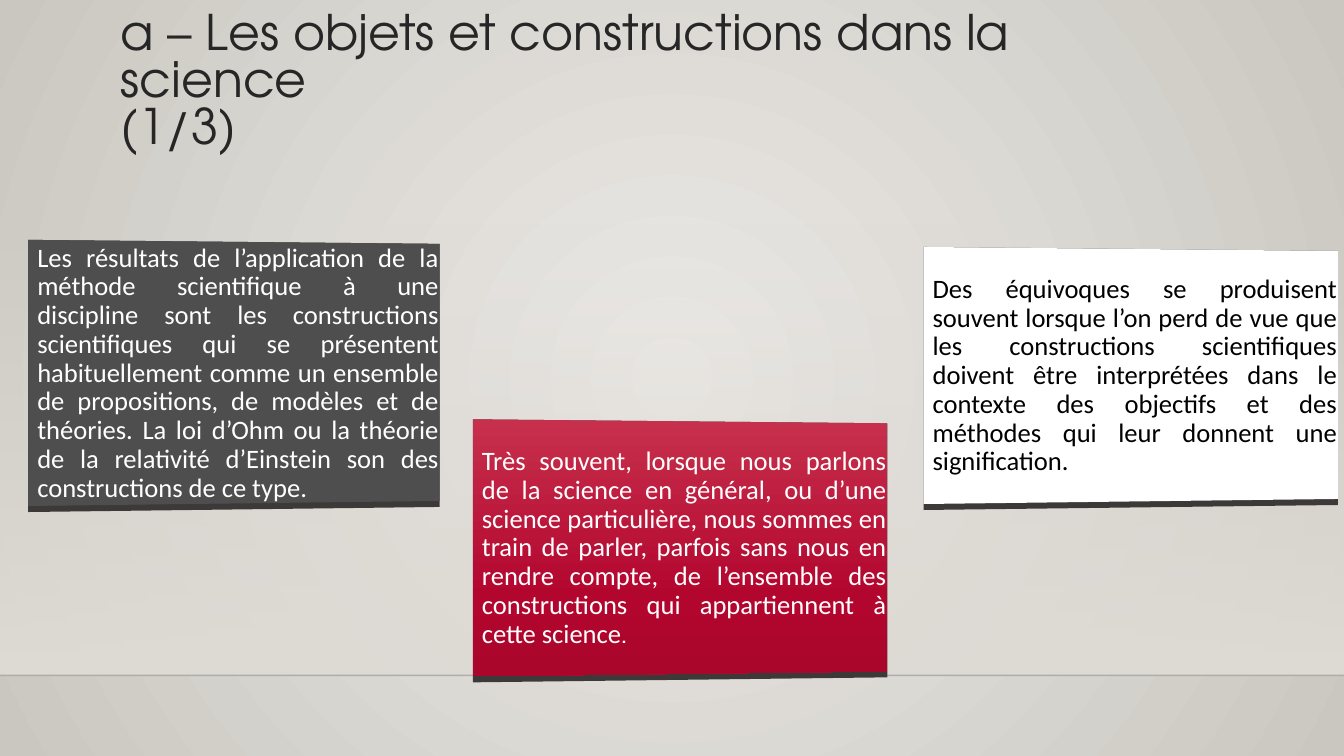
from lxml.etree import SubElement
from pptx import Presentation
from pptx.dml.color import RGBColor
from pptx.enum.shapes import MSO_CONNECTOR as Connector, MSO_SHAPE as Shape
from pptx.enum.text import MSO_ANCHOR as Anchor, PP_ALIGN as Align
from pptx.oxml import parse_xml
from pptx.oxml.ns import nsdecls, qn
from pptx.util import Inches, Pt

COLORS = {
    "glow": "ECEAE7", "edge": "CAC7C1", "band": "DFDBD5", "rule": "000001",
    "title": "262626", "gray": "4E4E4E", "white": "FFFFFF", "black": "000000",
    "base": "3D3938", "red_top": "C7304C", "red": "B3062F", "red_end": "AA062C",
}
RADIAL = ('<a:path path="circle"><a:fillToRect l="50000" t="50000" '
          'r="50000" b="50000"/></a:path>')
DOWNWARD = '<a:lin ang="5400000" scaled="0"/>'

CARDS = [
    (0.29, 2.41, 4.14, 2.59, ["gray"], "white",
     ["Les résultats de l’application de la méthode scientifique à une discipline "
      "sont les constructions scientifiques qui se présentent habituellement comme "
      "un ensemble de propositions, de modèles et de théories. La loi d’Ohm ou la "
      "théorie de la relativité d’Einstein son des constructions de ce type."]),
    (4.7, 4.19, 4.17, 2.5,
     [(0, "red_top", 100), (69, "red", 100), (100, "red_end", 100)], "white",
     ["Très souvent, lorsque nous parlons de la science en général, ou d’une "
      "science particulière, nous sommes en train de parler, parfois sans nous en "
      "rendre compte, de l’ensemble des constructions qui appartiennent à cette "
      "science", "."]),
    (9.17, 2.48, 4.17, 2.5, ["white"], "black",
     ["Des équivoques se produisent souvent lorsque l’on perd de vue que les "
      "constructions scientifiques doivent être interprétées dans le contexte des "
      "objectifs et des méthodes qui leur donnent une signification."]),
]


class SlideBuilder:
    """Draws styled elements on the current slide."""

    def __init__(self, page):
        self.page = page

    def color(self, name):
        return RGBColor.from_string(COLORS[name])

    def gradient(self, fill, owner, stops, direction):
        fill.solid()
        fill.fore_color.rgb = self.color(stops[0][1])
        marks = "".join(
            f'<a:gs pos="{place * 1000}"><a:srgbClr val="{COLORS[name]}">'
            f'<a:alpha val="{alpha * 1000}"/></a:srgbClr></a:gs>'
            for place, name, alpha in stops)
        solid = next(owner.iter(qn("a:solidFill")))
        solid.getparent().replace(solid, parse_xml(
            f'<a:gradFill {nsdecls("a")} rotWithShape="1">'
            f'<a:gsLst>{marks}</a:gsLst>{direction}</a:gradFill>'))

    def paint(self, shape, colors):
        shape.shadow.inherit = False
        if len(colors) == 1:
            shape.fill.solid()
            shape.fill.fore_color.rgb = self.color(colors[0])
        else:
            self.gradient(shape.fill, shape._element, colors, DOWNWARD)
        shape.line.fill.background()

    def backdrop(self):
        self.gradient(self.page.background.fill, self.page._element,
                      [(0, "glow", 100), (100, "edge", 100)], RADIAL)

    def band(self, left, top, width, height):
        band = self.page.shapes.add_shape(
            Shape.RECTANGLE, Inches(left), Inches(top), Inches(width), Inches(height))
        self.paint(band, [(0, "band", 0), (100, "band", 100)])

    def rule(self, left, right, level):
        rule = self.page.shapes.add_connector(
            Connector.STRAIGHT, Inches(left), Inches(level), Inches(right), Inches(level))
        rule.line.width = Pt(1)
        rule.line.color.rgb = self.color("rule")
        SubElement(next(rule._element.iter(qn("a:srgbClr"))), qn("a:alpha"), val="20000")
        SubElement(rule._element.spPr, qn("a:effectLst"))

    def panel(self, corners, colors):
        points = [(Inches(x), Inches(y)) for x, y in corners]
        outline = self.page.shapes.build_freeform(*points[0], scale=1.0)
        outline.add_line_segments(points[1:], close=True)
        self.paint(outline.convert_to_shape(), colors)

    def text(self, left, top, width, height, inset=0.1):
        box = self.page.shapes.add_textbox(
            Inches(left), Inches(top), Inches(width), Inches(height))
        frame = box.text_frame
        frame.word_wrap = True
        frame.vertical_anchor = Anchor.MIDDLE
        frame.margin_left = frame.margin_right = Inches(inset)
        frame.margin_top = frame.margin_bottom = Inches(min(inset, 0.08))
        return frame.paragraphs[0]

    def style(self, para, font, size, color, spacing):
        para.line_spacing = spacing
        para.font.name = font
        para.font.size = Pt(size)
        para.font.color.rgb = self.color(color)

    def card(self, left, top, width, height, colors, ink, pieces):
        near, far = left - 0.01, left + width - 0.07
        start, end = top - 0.03, top + height + 0.02
        for drop, tones in ((0.06, ["base"]), (0, colors)):
            self.panel([(near, start), (far, start + 0.04),
                        (far, end + drop - 0.05), (near, end + drop)], tones)
        para = self.text(left, top, width, height, 0.08)
        para.alignment = Align.JUSTIFY
        self.style(para, "Calibri", 19, ink, 0.9)
        for piece in pieces:
            span = para.add_run()
            span.text = piece
            if piece == ".":
                span.font.name = "Cabin"

    def title(self, lines):
        para = self.text(1.1, 0.08, 10.8, 1.5)
        self.style(para, "TeX Gyre Adventor", 35, "title", 0.8)
        para.text = "\v".join(lines)


def main():
    deck = Presentation()
    deck.slide_width, deck.slide_height = Inches(13.33), Inches(7.5)
    builder = SlideBuilder(deck.slides.add_slide(deck.slide_layouts[6]))
    builder.backdrop()
    builder.band(0, 2.21, 13.33, 4.49)
    builder.rule(0, 13.33, 6.7)
    for card in CARDS:
        builder.card(*card)
    builder.title(["a – Les objets et constructions dans la science", "(1/3)"])
    deck.save("out.pptx")


if __name__ == "__main__":
    main()
